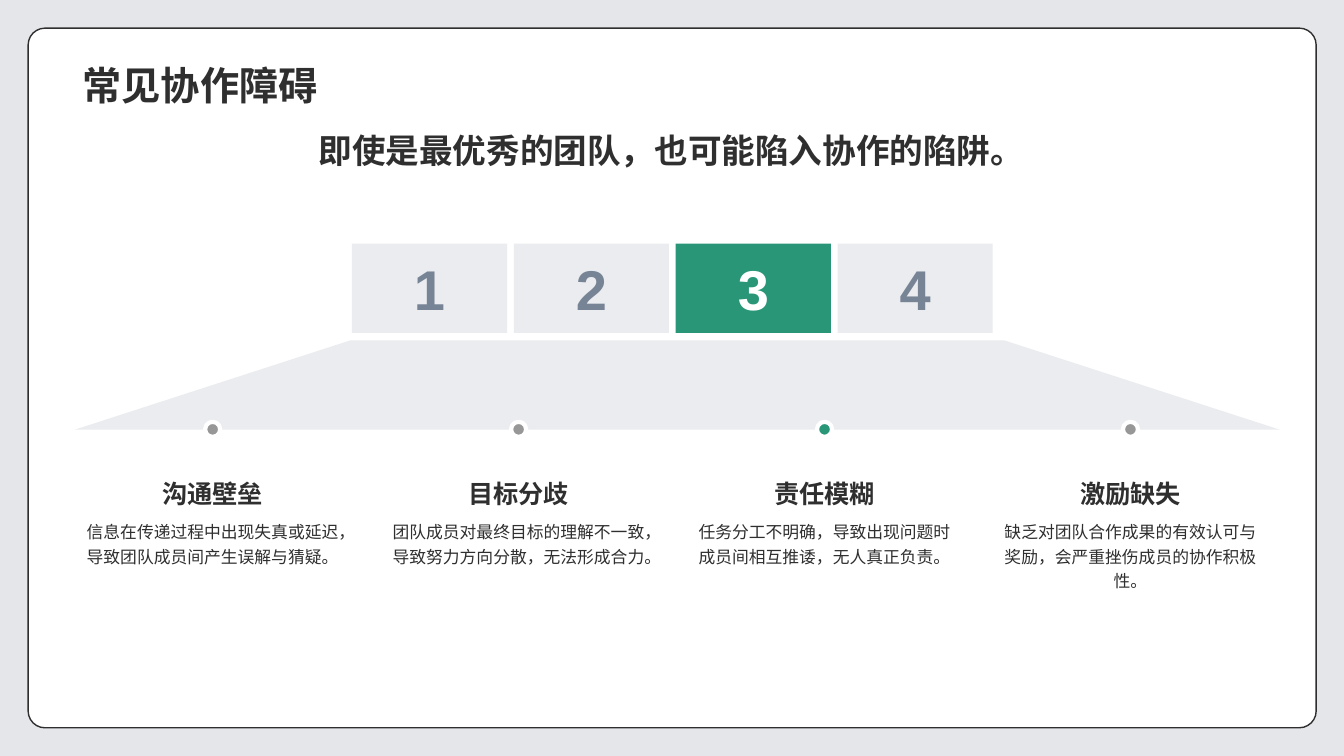
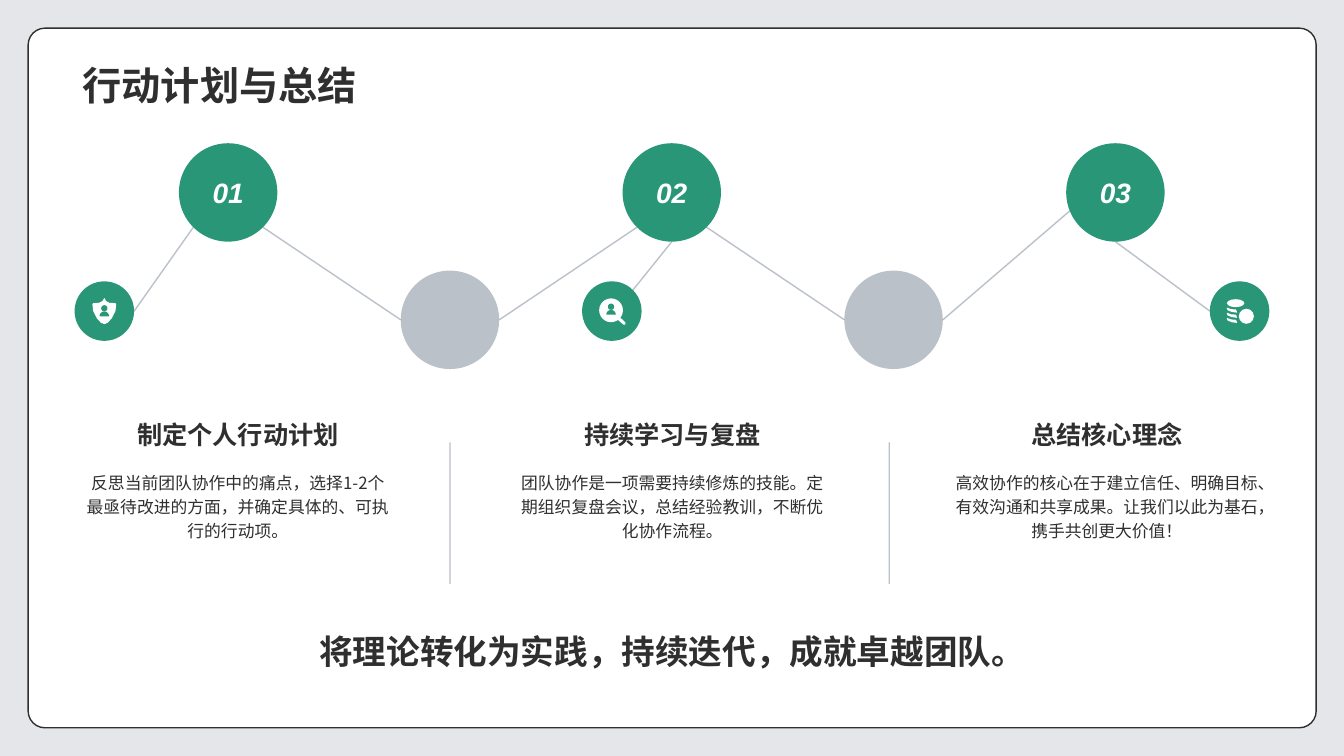
import math

from lxml import etree
from pptx import Presentation, util as u
from pptx.dml.color import RGBColor
from pptx.enum import shapes, text
from pptx.oxml.ns import qn

BACKDROP = RGBColor(0xE4, 0xE6, 0xEA)
WHITE = RGBColor(0xFF, 0xFF, 0xFF)
INK = RGBColor(0x2F, 0x2F, 0x2F)
GREEN = RGBColor(0x29, 0x97, 0x77)
SLATE = RGBColor(0x77, 0x84, 0x95)
GREY = RGBColor(0x97, 0x97, 0x97)

CJK = "Noto Sans CJK SC"
LATIN = "Arial"
SHAPE = shapes.MSO_SHAPE
TOP, MIDDLE, BOTTOM = text.MSO_ANCHOR.TOP, text.MSO_ANCHOR.MIDDLE, text.MSO_ANCHOR.BOTTOM
LEFT, CENTER = text.PP_ALIGN.LEFT, text.PP_ALIGN.CENTER

MARGIN = 1.88

BARRIERS = [
    ("沟通壁垒", "信息在传递过程中出现失真或延迟，导致团队成员间产生误解与猜疑。"),
    ("目标分歧", "团队成员对最终目标的理解不一致，导致努力方向分散，无法形成合力。"),
    ("责任模糊", "任务分工不明确，导致出现问题时成员间相互推诿，无人真正负责。"),
    ("激励缺失", "缺乏对团队合作成果的有效认可与奖励，会严重挫伤成员的协作积极性。"),
]
ACTIONS = [
    ("制定个人行动计划",
     "反思当前团队协作中的痛点，选择1-2个最亟待改进的方面，并确定具体的、可执行的行动项。"),
    ("持续学习与复盘",
     "团队协作是一项需要持续修炼的技能。定期组织复盘会议，总结经验教训，不断优化协作流程。"),
    ("总结核心理念",
     "高效协作的核心在于建立信任、明确目标、有效沟通和共享成果。让我们以此为基石，携手共创更大价值！"),
]


def set_opacity(element, percent):
    """Make the first colour inside the element partly transparent."""
    color = next(element.iter(qn("a:srgbClr")))
    etree.SubElement(color, qn("a:alpha")).set("val", str(percent * 1000))


def rim(center, radius, degrees):
    """Point on a circle; 0 is right and 90 is down."""
    angle = math.radians(degrees)
    return center[0] + radius * math.cos(angle), center[1] + radius * math.sin(angle)


class Deck:
    """Holds the shared style and the current slide; all lengths are in cm."""

    def __init__(self):
        self.prs = Presentation()
        self.prs.slide_width, self.prs.slide_height = u.Cm(33.87), u.Cm(19.05)
        self.slide = None
        background = self.prs.slide_master.background.fill
        background.solid()
        background.fore_color.rgb = BACKDROP

    def add_slide(self, title):
        first = self.slide is None
        self.slide = self.prs.slides.add_slide(self.prs.slide_layouts[5])
        if first:
            self.add_master_panel()
        heading = self.slide.shapes.title
        heading.left, heading.top = u.Cm(1.83), u.Cm(0.36)
        heading.width, heading.height = u.Cm(30.18), u.Cm(2.49)
        self.put_text(heading, title, 28, bold=True, align=LEFT, anchor=BOTTOM)

    def add_master_panel(self):
        """Draw the white panel and move it to the master, behind every slide."""
        panel = self.shape(SHAPE.ROUNDED_RECTANGLE, 0.71, 0.71, 32.46, 17.63, WHITE)
        panel.adjustments[0] = 0.024
        panel.line.color.rgb = INK
        panel.line.width = u.Pt(1)
        self.prs.slide_master.shapes.element.append(panel.element)

    def put_text(self, shape, words, size, color=INK, font=CJK, bold=False, italic=False,
                 align=CENTER, anchor=TOP, spacing=None):
        frame = shape.text_frame
        frame.word_wrap = True
        frame.auto_size = text.MSO_AUTO_SIZE.NONE
        frame.vertical_anchor = anchor
        paragraph = frame.paragraphs[0]
        paragraph.alignment = align
        if spacing:
            paragraph.line_spacing = spacing
        run = paragraph.add_run()
        run.text = words
        run.font.size = u.Pt(size)
        run.font.bold, run.font.italic = bold, italic
        run.font.color.rgb = color
        run.font.name = font
        run_properties = next(shape.element.iter(qn("a:rPr")))
        etree.SubElement(run_properties, qn("a:ea")).set("typeface", font)

    def text(self, left, top, width, height, words, size, **style):
        box = self.slide.shapes.add_textbox(u.Cm(left), u.Cm(top), u.Cm(width), u.Cm(height))
        self.put_text(box, words, size, **style)

    def finish(self, shape, color, opacity=100):
        shape.shadow.inherit = False
        shape.fill.solid()
        shape.fill.fore_color.rgb = color
        if opacity < 100:
            set_opacity(shape.element.spPr, opacity)
        shape.line.fill.background()
        return shape

    def shape(self, kind, left, top, width, height, color, opacity=100):
        shape = self.slide.shapes.add_shape(
            kind, u.Cm(left), u.Cm(top), u.Cm(width), u.Cm(height))
        return self.finish(shape, color, opacity)

    def ellipse(self, center, rx, color, ry=None, opacity=100):
        ry = ry or rx
        return self.shape(SHAPE.OVAL, center[0] - rx, center[1] - ry, 2 * rx, 2 * ry,
                          color, opacity)

    def outline(self, origin, points, color):
        """Filled polygon whose points are offsets from the origin."""
        corners = [(u.Cm(origin[0] + x), u.Cm(origin[1] + y)) for x, y in points]
        builder = self.slide.shapes.build_freeform(*corners[0], scale=1.0)
        builder.add_line_segments(corners[1:], close=True)
        self.finish(builder.convert_to_shape(), color)

    def line(self, start, end):
        link = self.slide.shapes.add_connector(
            shapes.MSO_CONNECTOR.STRAIGHT, *(u.Cm(v) for v in (*start, *end)))
        link.line.color.rgb = SLATE
        link.line.width = u.Pt(1)
        properties = link.element.spPr
        set_opacity(properties, 50)
        etree.SubElement(properties, qn("a:effectLst"))

    def columns(self, items, pitch, width, heading_top, heading_height, body_top, body_height):
        for i, (heading, body) in enumerate(items):
            left = MARGIN + i * pitch
            self.text(left, heading_top, width, heading_height, heading, 18,
                      bold=True, anchor=BOTTOM)
            self.text(left, body_top, width, body_height, body, 12, spacing=1.2)

    def person(self, head):
        self.ellipse(head, 0.08, GREEN)
        shoulders = [rim((0, 0.2), 0.12, angle) for angle in range(180, 361, 15)]
        self.outline(head, shoulders, GREEN)

    def shield_icon(self, center):
        right = [(0.05, -0.25), (0.13, -0.21), (0.28, -0.2), (0.3, -0.17), (0.28, 0),
                 (0.19, 0.18), (0.09, 0.29)]
        left = [(-x, y) for x, y in reversed(right)]
        self.outline(center, [(0, -0.33), *right, (0, 0.33), *left], WHITE)
        self.person((center[0], center[1] - 0.07))

    def magnifier_icon(self, center):
        x, y = center
        self.ellipse((x - 0.02, y - 0.02), 0.3, WHITE)
        handle = [(0.15, 0.22), (0.21, 0.16), (0.34, 0.29), (0.34, 0.34), (0.29, 0.34)]
        self.outline(center, handle, WHITE)
        self.person((x - 0.02, y - 0.11))

    def coins_icon(self, center):
        x, y = center
        self.ellipse((x - 0.1, y - 0.2), 0.22, WHITE, ry=0.1)
        edge = [(-0.32, 0), (-0.22, 0.04), (-0.09, 0.05), (-0.06, 0.13), (-0.2, 0.11),
                (-0.3, 0.07), (-0.32, 0.03)]
        for layer in range(3):
            self.outline((x, y - 0.09 + layer * 0.13), edge, WHITE)
        self.ellipse((x + 0.17, y + 0.13), 0.19, WHITE)


def build_barriers(deck):
    highlighted = 2
    pitch, width = 7.71, 6.96
    deck.add_slide("常见协作障碍")
    deck.text(1.83, 3.15, 30.18, 1.27, "即使是最优秀的团队，也可能陷入协作的陷阱。", 24, bold=True)
    fan = deck.shape(SHAPE.TRAPEZOID, MARGIN, 8.58, 30.38, 2.25, SLATE, opacity=15)
    fan.adjustments[0] = 3.085
    for i in range(len(BARRIERS)):
        active = i == highlighted
        number = deck.shape(SHAPE.RECTANGLE, 8.87 + i * 4.08, 6.14, 3.91, 2.25,
                            GREEN if active else SLATE, 100 if active else 15)
        deck.put_text(number, str(i + 1), 40, WHITE if active else SLATE, LATIN,
                      bold=True, anchor=MIDDLE)
        dot = deck.ellipse((MARGIN + width / 2 + i * pitch, 10.82), 0.19,
                           GREEN if active else GREY)
        dot.line.color.rgb = WHITE
        dot.line.width = u.Pt(3)
    deck.columns(BARRIERS, pitch, width, 11.2, 1.73, 12.93, 4.09)


def build_actions(deck):
    step_radius, badge_radius = 1.24, 0.75
    step_y, pause_y, badge_y = 4.85, 8.06, 7.84
    deck.add_slide("行动计划与总结")

    # Steps and pauses alternate along one even horizontal grid.
    xs = [5.75 + i * 5.59 for i in range(5)]
    steps = [(x, step_y) for x in xs[::2]]
    pauses = [(x, pause_y) for x in xs[1::2]]
    shield, magnifier, coins = badges = [(x, badge_y) for x in (2.63, 15.42, 31.24)]

    for pause in pauses:
        deck.ellipse(pause, step_radius, SLATE, opacity=50)
    for step, pause, next_step, entry in zip(steps, pauses, steps[1:], (135, 158)):
        deck.line(rim(step, step_radius, 45), rim(pause, step_radius, 180))
        deck.line(rim(pause, step_radius, 0), rim(next_step, step_radius, entry))
    for step, leave, badge, arrive in zip(steps, (135, 90, 90), badges, (0, -45, 180)):
        deck.line(rim(step, step_radius, leave), rim(badge, badge_radius, arrive))
    for x in (11.34, 22.41):
        deck.line((x, 11.15), (x, 14.71))

    for number, (step, badge) in enumerate(zip(steps, badges), 1):
        circle = deck.ellipse(step, step_radius, GREEN)
        deck.put_text(circle, f"{number:02}", 20, WHITE, LATIN, bold=True, italic=True,
                      anchor=MIDDLE)
        deck.ellipse(badge, badge_radius, GREEN)
    deck.shield_icon(shield)
    deck.magnifier_icon(magnifier)
    deck.coins_icon(coins)

    deck.columns(ACTIONS, 10.95, 8.23, 10.13, 1.32, 11.68, 2.67)
    deck.text(MARGIN, 14.71, 30.12, 2.34, "将理论转化为实践，持续迭代，成就卓越团队。", 24,
              bold=True, anchor=BOTTOM)


def main():
    deck = Deck()
    build_barriers(deck)
    build_actions(deck)
    deck.prs.save("out.pptx")


if __name__ == "__main__":
    main()
